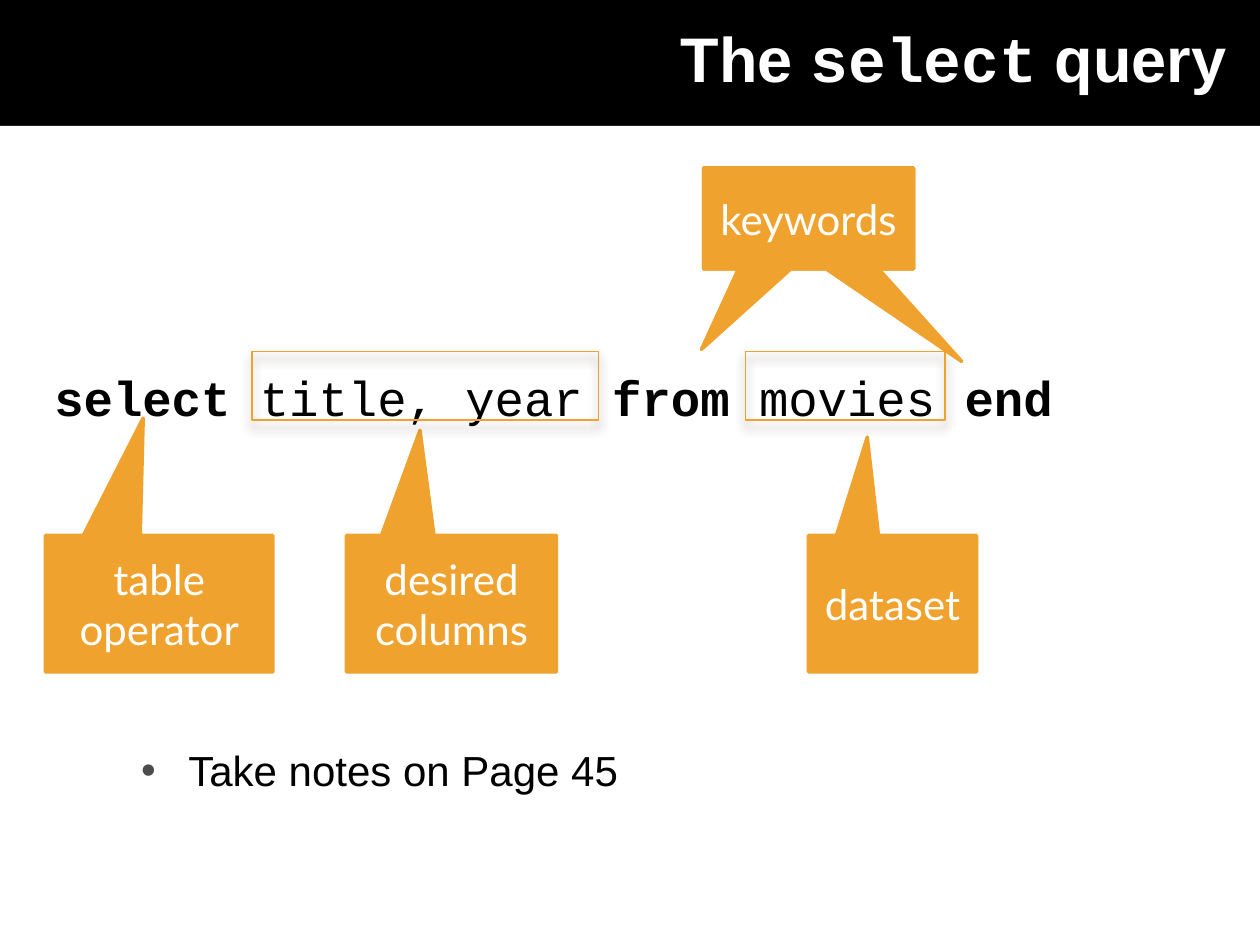
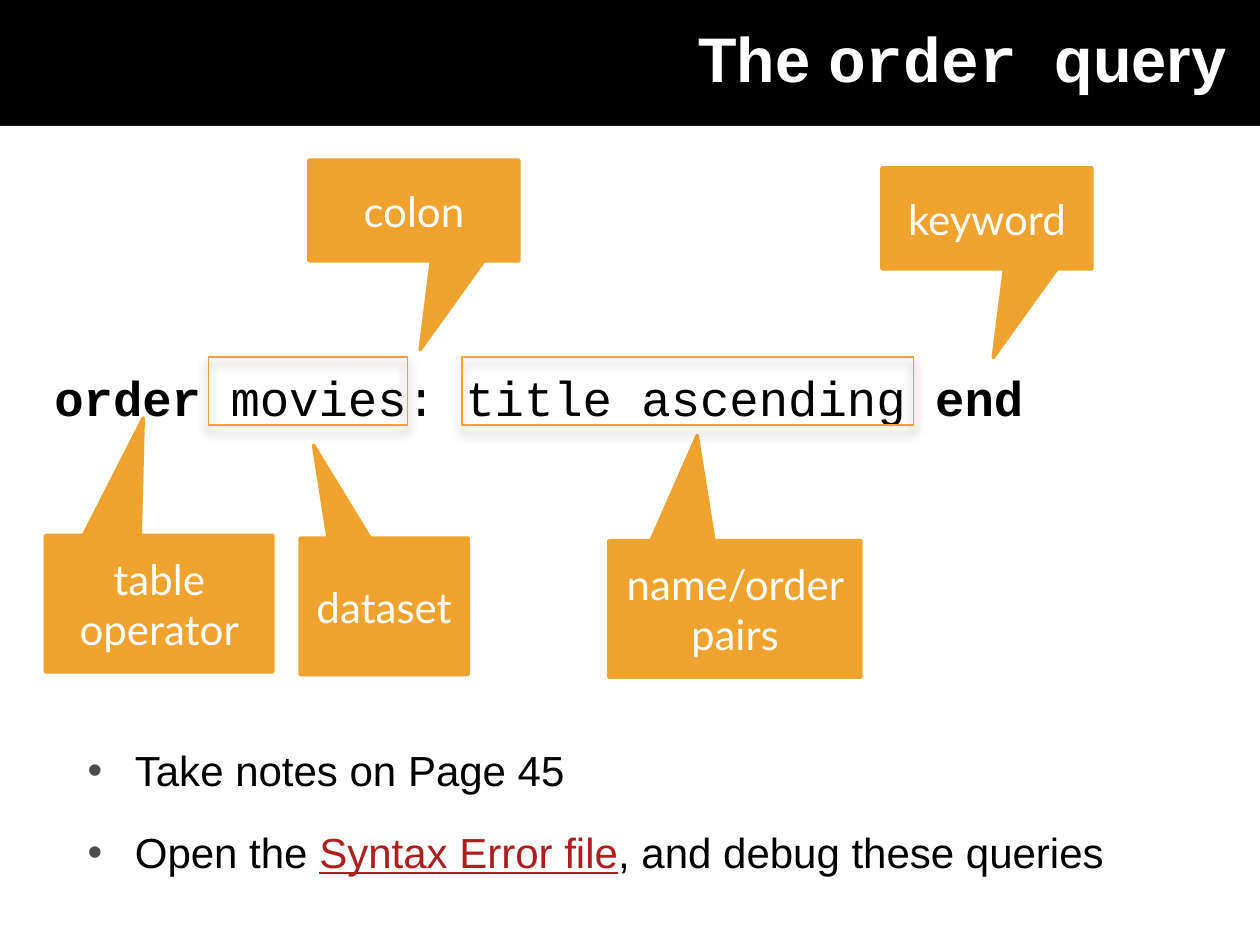
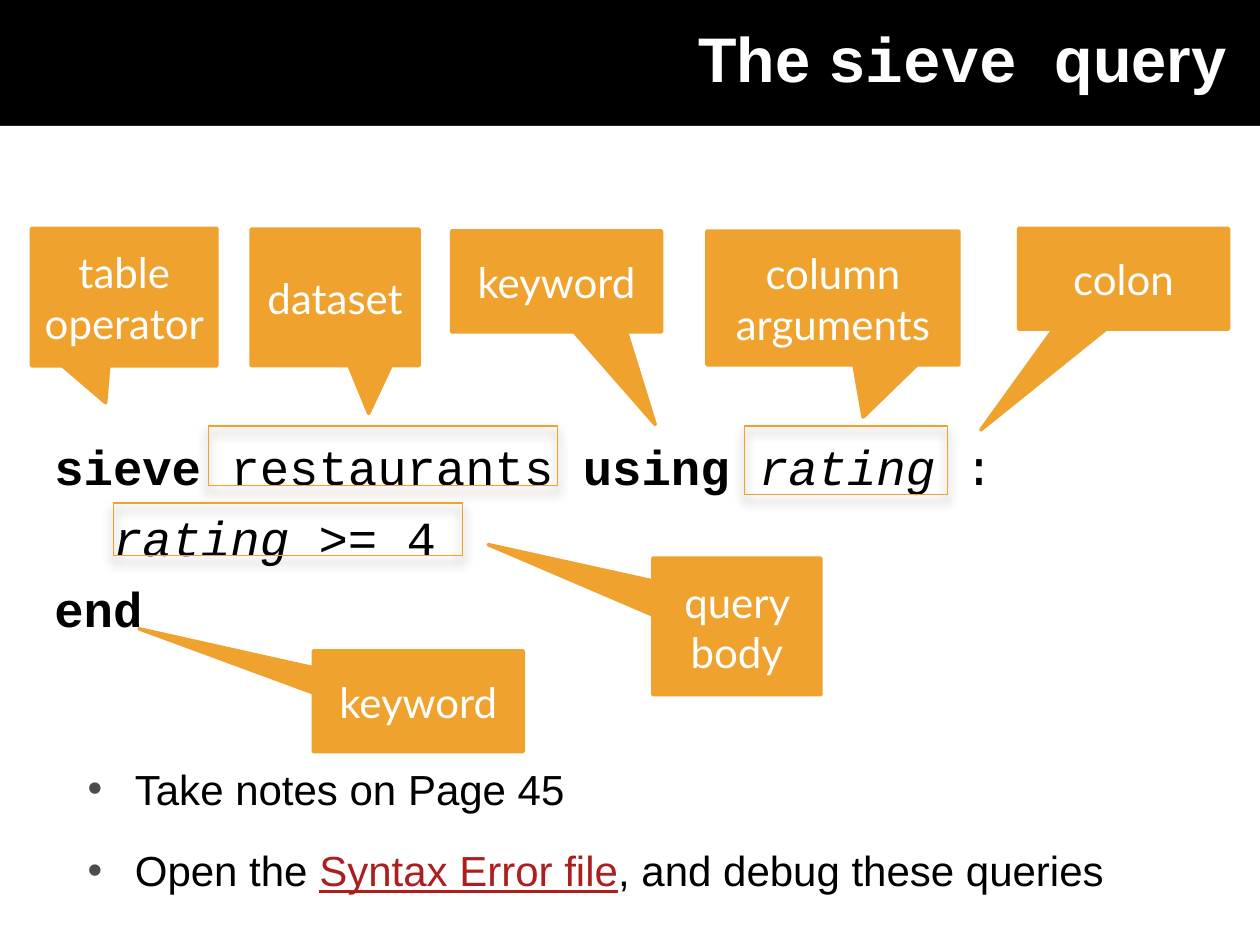
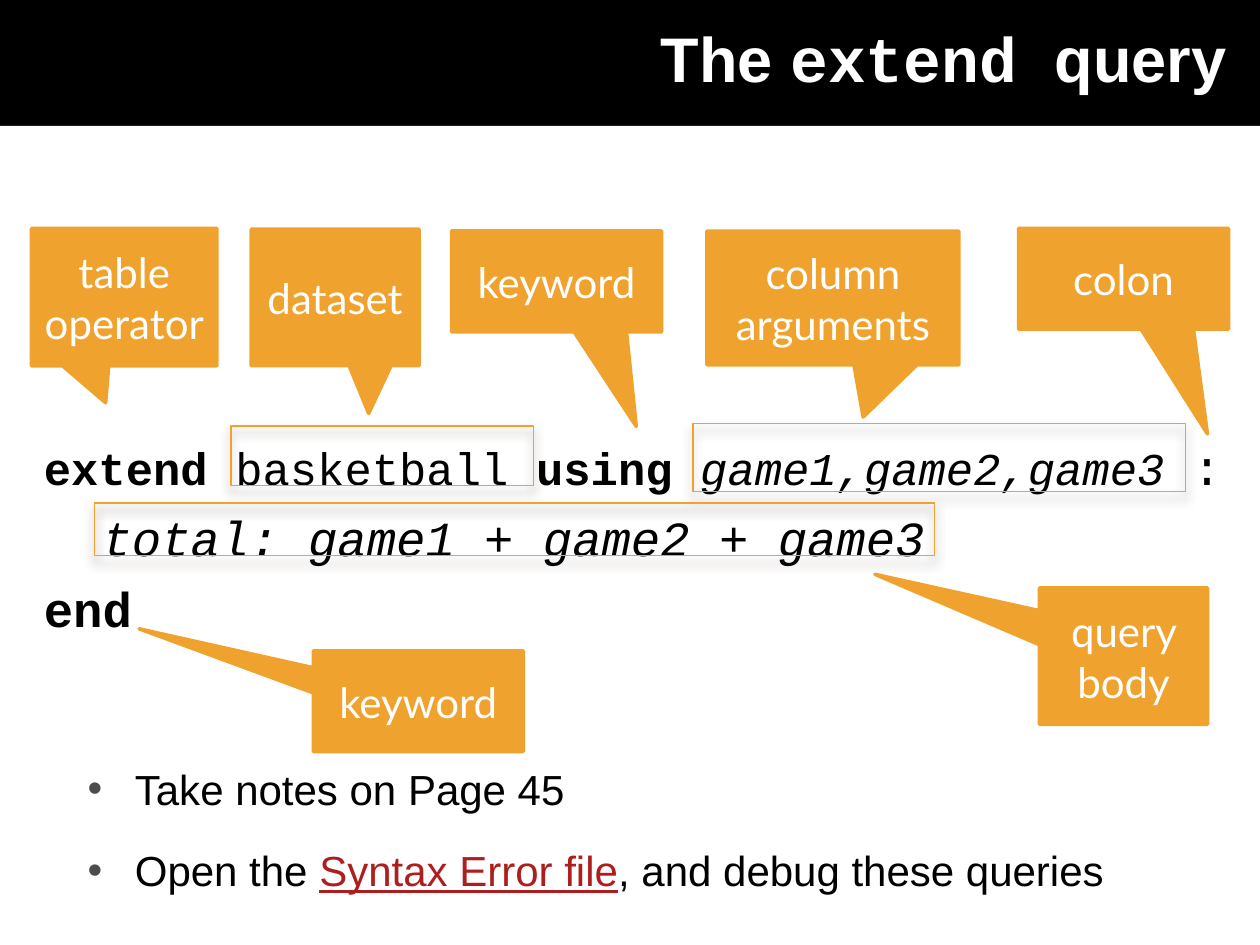
import pptx
import pptx.util
import pptx.dml.color
import pptx.enum.shapes
import pptx.enum.text
import pptx.oxml
import pptx.oxml.ns
from lxml import etree

Pt = pptx.util.Pt
SHAPES = pptx.enum.shapes.MSO_SHAPE
ALIGN = pptx.enum.text.PP_ALIGN
ANCHOR = pptx.enum.text.MSO_ANCHOR

COLORS = {
    "black": "000000",
    "white": "FFFFFF",
    "orange": "F0A22E",
    "shadow": "4E3B30",
    "bullet": "4C4C4C",
    "link": "AD1F1F",
}
SANS, MONO, LABEL = "Arial", "Courier New", "Lato"
BOLD, ITALIC = {"bold": True}, {"italic": True}
NOTES = [("Take notes on Page 45", {})]
DEBUG = [
    ("Open the ", {}),
    ("Syntax Error file", {"color": "link", "underline": True}),
    (", and debug these queries", {}),
]


def rgb(name):
    return pptx.dml.color.RGBColor.from_string(COLORS[name])


def add_xml(parent, tag, **attributes):
    child = etree.SubElement(parent, pptx.oxml.ns.qn(tag))
    for name, value in attributes.items():
        child.set(name, str(value))
    return child


class Deck:
    def __init__(self):
        self.presentation = pptx.Presentation()
        self.presentation.slide_width = Pt(720)
        self.presentation.slide_height = Pt(540)
        self.layout = self.presentation.slide_layouts[5]
        self.slide = None
        background = self.presentation.slide_master.background.fill
        background.solid()
        background.fore_color.rgb = rgb("black")

    def add_slide(self, query):
        first = self.slide is None
        self.slide = self.presentation.slides.add_slide(self.layout)
        if first:
            self.add_panel()
        title = self.slide.shapes.title
        title.left, title.top, title.width, title.height = Pt(24), Pt(0), Pt(684), Pt(66)
        frame = title.text_frame
        frame.word_wrap = True
        frame.auto_size = pptx.enum.text.MSO_AUTO_SIZE.NONE
        frame.vertical_anchor = ANCHOR.MIDDLE
        paragraph = frame.paragraphs[0]
        paragraph.alignment = ALIGN.RIGHT
        before, command, after = query
        pieces = [(before, BOLD), (command, {"bold": True, "font": MONO}), (after, BOLD)]
        self.add_runs(paragraph, pieces, SANS, 36, "white")

    def add_panel(self):
        panel = self.add_shape(SHAPES.RECTANGLE, (0, 72, 720, 468), fill="white")
        self.add_shadow(panel)
        self.layout.shapes.element.insert(2, panel.element)

    def add_shape(self, kind, place, fill=None, line=None, width=0):
        shape = self.slide.shapes.add_shape(kind, *map(Pt, place))
        shape.shadow.inherit = False
        for part, color in ((shape.fill, fill), (shape.line.fill, line)):
            if color:
                part.solid()
                part.fore_color.rgb = rgb(color)
            else:
                part.background()
        if line:
            shape.line.width = Pt(width)
        return shape

    def add_shadow(self, shape):
        effects = shape.element.spPr.find(pptx.oxml.ns.qn("a:effectLst"))
        shadow = add_xml(effects, "a:outerShdw", blurRad=Pt(6), dist=Pt(4),
                         dir=90 * 60000, rotWithShape=0)
        color = add_xml(shadow, "a:srgbClr", val=COLORS["shadow"])
        add_xml(color, "a:alpha", val=60000)

    def add_highlight(self, *place):
        box = self.add_shape(SHAPES.RECTANGLE, place, line="orange", width=0.79)
        self.add_shadow(box)

    def add_callout(self, text, place, tip):
        callout = self.add_shape(SHAPES.RECTANGULAR_CALLOUT, place, "orange", "orange", 2)
        callout.adjustments[0], callout.adjustments[1] = tip
        if text:
            frame = callout.text_frame
            frame.word_wrap = True
            frame.vertical_anchor = ANCHOR.MIDDLE
            frame.paragraphs[0].alignment = ALIGN.CENTER
            self.add_runs(frame.paragraphs[0], [(text, {})], LABEL, 24, "white")

    def add_runs(self, paragraph, pieces, font, size, color):
        for text, style in pieces:
            run = paragraph.add_run()
            run.text = text
            run.font.name = style.get("font", font)
            run.font.size = Pt(style.get("size", size))
            run.font.color.rgb = rgb(style.get("color", color))
            run.font.bold = style.get("bold", False)
            run.font.italic = style.get("italic", False)
            run.font.underline = style.get("underline", False)

    def add_paragraphs(self, place, lines):
        frame = self.slide.shapes.add_textbox(*map(Pt, place)).text_frame
        frame.word_wrap = True
        for index, pieces in enumerate(lines):
            yield frame.add_paragraph() if index else frame.paragraphs[0], pieces, index

    def add_code(self, lines, top, left=24, width=684):
        for paragraph, pieces, index in self.add_paragraphs((left, top, width, 88), lines):
            paragraph.space_before = Pt(7 if index else 0)
            self.add_runs(paragraph, pieces, MONO, 28, "black")

    def add_bullets(self, lines, top, left=43, width=634):
        place = (left, top, width, 46 * len(lines) - 9)
        for paragraph, pieces, _ in self.add_paragraphs(place, lines):
            paragraph.space_after = Pt(18)
            properties = paragraph._p.get_or_add_pPr()
            properties.set("marL", str(Pt(27)))
            properties.set("indent", str(-Pt(27)))
            color = add_xml(properties, "a:buClr")
            add_xml(color, "a:srgbClr", val=COLORS["bullet"])
            add_xml(properties, "a:buFont", typeface=SANS)
            add_xml(properties, "a:buChar", char="•")
            self.add_runs(paragraph, pieces, SANS, 24, "black")

    def add_operator(self):
        self.add_callout("table operator", (26, 306, 130, 78), (-0.07, -1.36))

    def add_block_labels(self, keyword_tip, colon_tip, body_place):
        labels = [
            ("table operator", (18, 130.5, 106, 78.5), (-0.1, 0.77)),
            ("dataset", (143.5, 131, 96, 78), (0.2, 0.85)),
            ("keyword", (258, 132, 120, 57.6), keyword_tip),
            ("column arguments", (404, 132, 144, 76.5), (0.12, 0.89)),
            ("colon", (582, 130.5, 120, 57.6), colon_tip),
            ("query body", (*body_place, 96, 78), (-1.48, -0.6)),
            ("keyword", (179, 372, 120, 57.6), (-1.33, -0.72)),
        ]
        for label in labels:
            self.add_callout(*label)


def build_select(deck):
    deck.add_slide(("The ", "select", " query"))
    deck.add_code([[("select ", BOLD), ("title, year ", {}), ("from", BOLD),
                    (" movies ", {}), ("end", BOLD)]], 206.5)
    deck.add_operator()
    for text, tip in (("", (-0.51, 1.3)), ("keywords", (0.73, 1.42))):
        deck.add_callout(text, (402, 96, 120, 57.6), tip)
    deck.add_callout("desired columns", (198, 306, 120, 78), (-0.15, -1.27))
    deck.add_highlight(144, 201, 198, 39)
    deck.add_callout("dataset", (462, 306, 96, 78), (-0.15, -1.22))
    deck.add_highlight(426, 201, 114, 39)
    deck.add_bullets([NOTES], 422, 73.5, 574.5)


def build_order(deck):
    deck.add_slide(("The ", "order ", "query"))
    deck.add_code([[("order ", BOLD), ("movies: title ascending ", {}), ("end", BOLD)]], 206.5)
    deck.add_operator()
    deck.add_callout("keyword", (504, 96, 120, 57.6), (0.03, 1.38))
    deck.add_callout("name/order pairs", (348, 309, 144, 78), (-0.15, -1.27))
    deck.add_highlight(264, 204, 258, 39)
    deck.add_callout("dataset", (171.5, 307.5, 96, 78), (-0.42, -1.18))
    deck.add_highlight(119, 204, 114, 39)
    deck.add_callout("colon", (176.5, 91.5, 120, 57.6), (0.03, 1.38))
    deck.add_bullets([NOTES, DEBUG], 422)


def build_sieve(deck):
    deck.add_slide(("The ", "sieve ", "query"))
    deck.add_code([
        [("sieve ", BOLD), ("restaurants ", {}), ("using ", BOLD), ("rating", ITALIC), (" :", {})],
        [("  ", {}), ("rating", ITALIC), (" >= 4", {})],
        [("end", BOLD)],
    ], 246)
    deck.add_block_labels((0.47, 1.42), (-0.68, 1.5), (373, 319))
    deck.add_highlight(425.5, 243.5, 116, 39)
    deck.add_highlight(119, 243.5, 199.5, 34)
    deck.add_highlight(65, 287.5, 199.5, 30)
    deck.add_bullets([NOTES, DEBUG], 432.5)


def build_extend(deck):
    deck.add_slide(("The ", "extend ", "query"))
    small = {"size": 26}
    deck.add_code([
        [("extend ", small | BOLD), ("basketball ", small), ("using ", small | BOLD),
         ("game1,game2,game3 ", small | ITALIC), (":", {})],
        [("  ", {}), ("total: game1 + game2 + game3", ITALIC)],
        [("end", BOLD)],
    ], 246, 18, 696)
    deck.add_block_labels((0.38, 1.44), (0.4, 1.54), (594, 336))
    deck.add_highlight(396, 242, 281.5, 39)
    deck.add_highlight(132, 243.5, 173, 34)
    deck.add_highlight(54, 287.5, 480, 30)
    deck.add_bullets([NOTES, DEBUG], 432.5)


def main():
    deck = Deck()
    for build in (build_select, build_order, build_sieve, build_extend):
        build(deck)
    deck.presentation.save("out.pptx")


if __name__ == "__main__":
    main()
